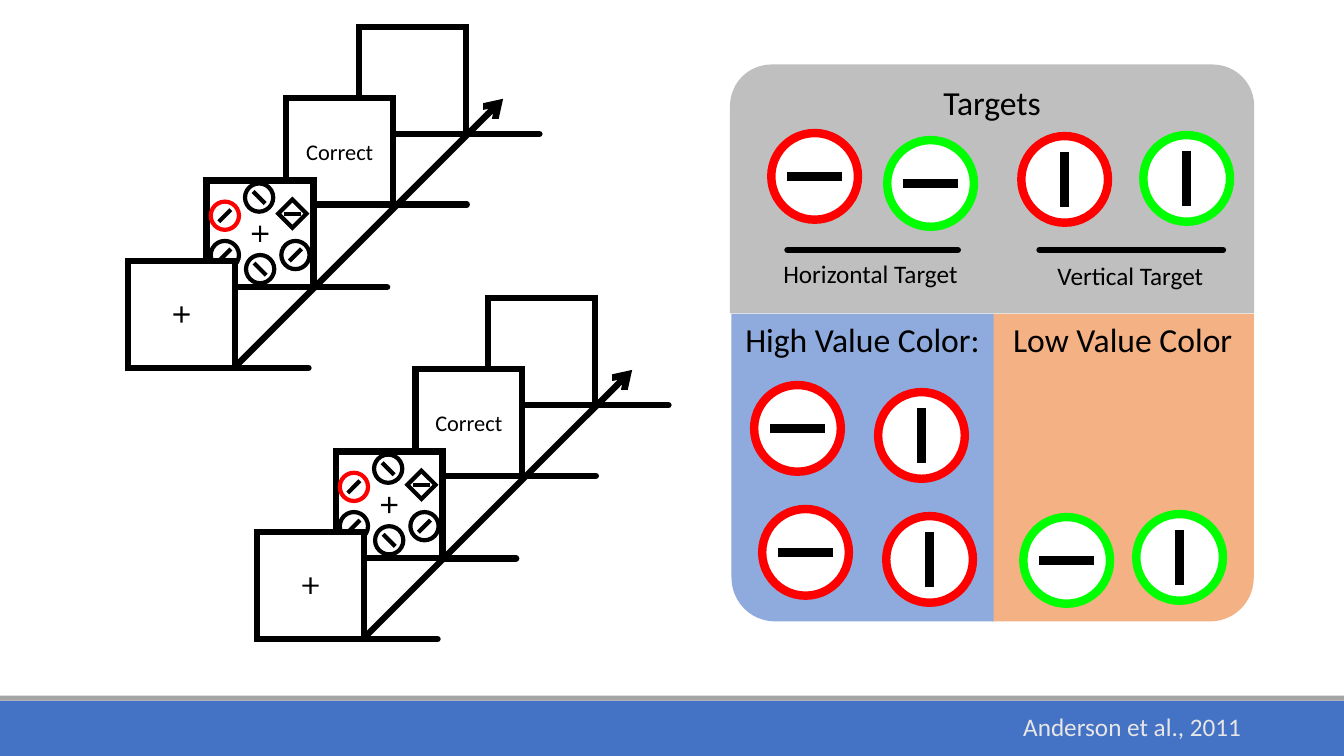
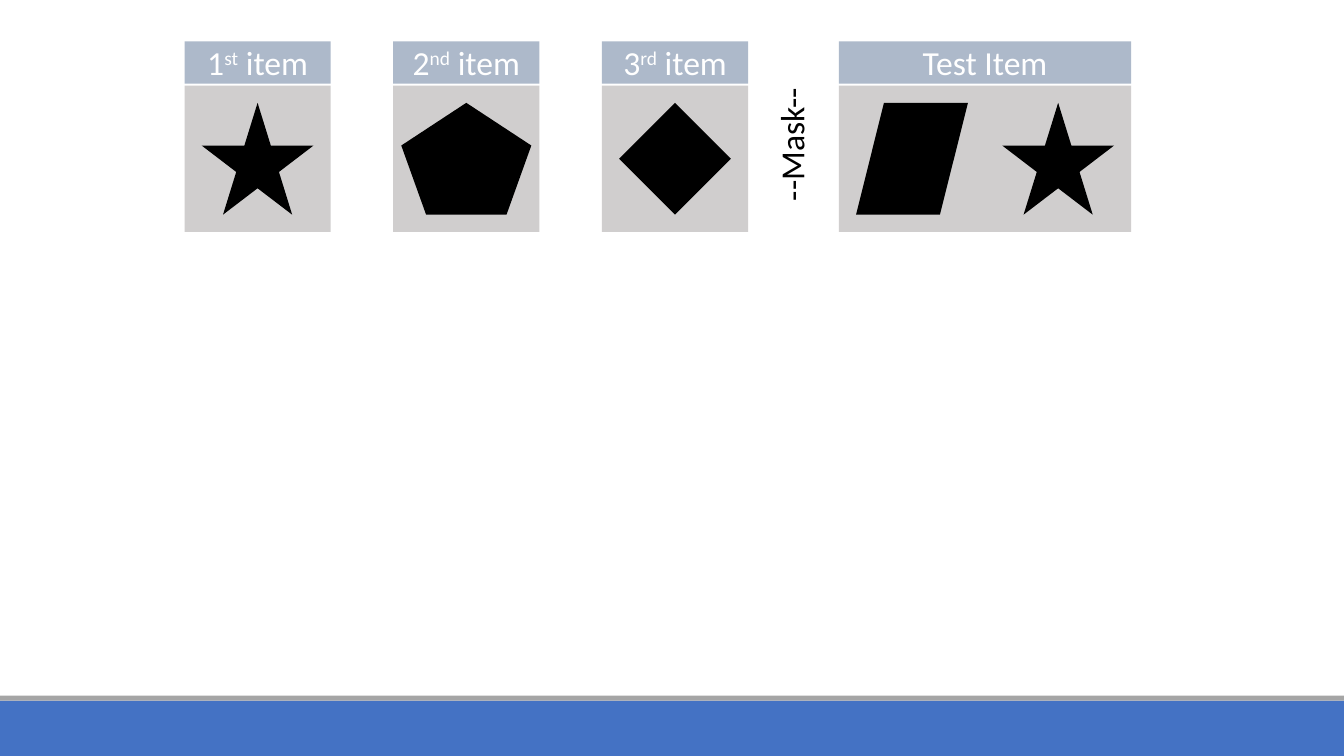
"""Build two slides on a reward-learning task and a memory task."""

import dataclasses
import typing

import lxml.etree
import pptx
import pptx.dml.color
import pptx.enum.shapes
import pptx.enum.text
import pptx.oxml.ns
import pptx.presentation
import pptx.shapes.autoshape
import pptx.shapes.connector
import pptx.shapes.shapetree
import pptx.slide
import pptx.text.text
import pptx.util

Inches = pptx.util.Inches
Pt = pptx.util.Pt
Preset = pptx.enum.shapes.MSO_SHAPE
Align = pptx.enum.text.PP_ALIGN
Anchor = pptx.enum.text.MSO_ANCHOR
AutoSize = pptx.enum.text.MSO_AUTO_SIZE
qn = pptx.oxml.ns.qn
Shapes = typing.Union[
    pptx.shapes.shapetree.SlideShapes, pptx.shapes.shapetree.GroupShapes
]
Box = tuple[float, float, float, float]
Point = tuple[float, float]

FONT = "Calibri"
COLORS = {
    "black": "000000",
    "white": "FFFFFF",
    "band": "4472C4",
    "band_edge": "A5A5A5",
    "citation": "E7E6E6",
    "targets": "BFBFBF",
    "high": "8FAADC",
    "low": "F4B183",
    "red": "FF0000",
    "green": "00FF00",
    "card": "D0CECE",
    "header": "ADB9CA",
}
FRAME_SIZE = 1.06
FRAME_LINE = 4.5
ITEM_SIZE = 0.28
PLUS_SIZE = 0.22
TARGET_SIZE = 0.86
CARD_SIZE = 1.45


@dataclasses.dataclass(frozen=True)
class Target:
    left: float
    top: float
    color: str
    vertical: bool = False


@dataclasses.dataclass(frozen=True)
class SearchItem:
    left: float
    top: float
    bar_x: float
    bar_y: float
    color: str = "black"
    preset: Preset = Preset.OVAL


@dataclasses.dataclass(frozen=True)
class Card:
    left: float
    width: float
    ordinal: tuple[str, str, str]
    figures: tuple[tuple[Preset, float], ...]


TARGETS = (
    Target(7.65, 1.32, "red"),
    Target(8.8, 1.39, "green"),
    Target(10.13, 1.35, "red", True),
    Target(11.34, 1.34, "green", True),
    Target(7.48, 3.82, "red"),
    Target(8.71, 3.89, "red", True),
    Target(7.56, 5.05, "red"),
    Target(8.79, 5.12, "red", True),
    Target(10.15, 5.13, "green"),
    Target(11.27, 5.1, "green", True),
)
SEARCH_ITEMS = (
    SearchItem(0.04, 0.21, 0.06, -0.06, "red"),
    SearchItem(0.71, 0.19, 0.085, 0, preset=Preset.DIAMOND),
    SearchItem(0.38, 0.03, 0.06, 0.06),
    SearchItem(0.04, 0.6, 0.06, -0.06),
    SearchItem(0.74, 0.6, 0.06, -0.06),
    SearchItem(0.39, 0.74, 0.06, 0.06),
)
FRAME_OFFSETS = ((2.29, -2.32), (1.57, -1.62), (0.78, -0.8), (0, 0))
FRAME_TEXTS = ("", "Correct", "", "")
SEARCH_FRAME = 2
FIXATION_FRAME = 3
CARDS = (
    Card(1.83, CARD_SIZE, ("1", "st", " item"), ((Preset.STAR_5_POINT, 1.11),)),
    Card(3.9, CARD_SIZE, ("2", "nd", " item"), ((Preset.REGULAR_PENTAGON, 1.29),)),
    Card(5.97, CARD_SIZE, ("3", "rd", " item"), ((Preset.DIAMOND, 1.11),)),
    Card(
        8.32,
        2 * CARD_SIZE,
        ("Test Item", "", ""),
        ((Preset.PARALLELOGRAM, 1.11), (Preset.STAR_5_POINT, 1.11)),
    ),
)


def rgb(name: str) -> pptx.dml.color.RGBColor:
    """Return a named colour."""
    return pptx.dml.color.RGBColor.from_string(COLORS[name])


def format_text(
    text_frame: pptx.text.text.TextFrame,
    size: float,
    color: str = "black",
    align: Align = Align.CENTER,
) -> None:
    """Format every run of a text frame."""
    for paragraph in text_frame.paragraphs:
        paragraph.alignment = align
        for run in paragraph.runs:
            run.font.name = FONT
            run.font.size = Pt(size)
            run.font.color.rgb = rgb(color)


def add_figure(
    shapes: Shapes,
    preset: Preset,
    box: Box,
    fill: str,
    line: str = "",
    line_width: float = 0,
) -> pptx.shapes.autoshape.Shape:
    """Add a preset shape with a flat fill and an optional outline."""
    shape = shapes.add_shape(preset, *map(Inches, box))
    shape.shadow.inherit = False
    shape.fill.solid()
    shape.fill.fore_color.rgb = rgb(fill)
    if line:
        shape.line.color.rgb = rgb(line)
        shape.line.width = Pt(line_width)
        outline = shape.element.spPr.find(qn("a:ln"))
        lxml.etree.SubElement(outline, qn("a:miter"), lim="800000")
    else:
        shape.line.fill.background()
    return shape


def add_line(
    shapes: Shapes,
    start: Point,
    end: Point,
    width: float,
    rounded: bool = False,
    arrow: bool = False,
) -> pptx.shapes.connector.Connector:
    """Add a straight black line."""
    connector = shapes.add_connector(
        pptx.enum.shapes.MSO_CONNECTOR.STRAIGHT, *map(Inches, start + end)
    )
    connector.line.color.rgb = rgb("black")
    connector.line.width = Pt(width)
    properties = connector.element.spPr
    outline = properties.find(qn("a:ln"))
    if rounded:
        outline.set("cap", "rnd")
    if arrow:
        lxml.etree.SubElement(outline, qn("a:tailEnd"), type="arrow")
    lxml.etree.SubElement(properties, qn("a:effectLst"))
    return connector


def add_label(
    shapes: Shapes, box: Box, text: str, size: float, wrap: bool = False
) -> pptx.shapes.autoshape.Shape:
    """Add a text box that fits its text."""
    label = shapes.add_textbox(*map(Inches, box))
    label.text_frame.word_wrap = wrap
    label.text_frame.auto_size = AutoSize.SHAPE_TO_FIT_TEXT
    label.text_frame.text = text
    format_text(label.text_frame, size, align=Align.CENTER if wrap else Align.LEFT)
    return label


def add_panel(
    shapes: Shapes, preset: Preset, box: Box, fill: str, text: str
) -> pptx.shapes.autoshape.Shape:
    """Add a coloured panel with its heading at the top."""
    panel = add_figure(shapes, preset, box, fill)
    panel.text_frame.vertical_anchor = Anchor.TOP
    panel.text_frame.text = text
    format_text(panel.text_frame, 24)
    return panel


def turn_panel(
    panel: pptx.shapes.autoshape.Shape, angle: int, direction: str
) -> None:
    """Turn a panel while its heading stays upright."""
    panel.rotation = angle
    panel.element.find(".//" + qn("a:bodyPr")).set("vert", direction)


def add_target(shapes: Shapes, target: Target) -> None:
    """Add a coloured ring around a thick bar."""
    group = shapes.add_group_shape().shapes
    box = (target.left, target.top, TARGET_SIZE, TARGET_SIZE)
    add_figure(group, Preset.OVAL, box, "white", target.color, 6)
    x, y = target.left + TARGET_SIZE / 2, target.top + TARGET_SIZE / 2
    bar_x, bar_y = (0, 0.27) if target.vertical else (0.27, 0)
    add_line(group, (x - bar_x, y - bar_y), (x + bar_x, y + bar_y), 6)


def add_plus(shapes: Shapes, left: float, top: float) -> None:
    """Add the fixation cross of a frame."""
    box = (left + 0.42, top + 0.42, PLUS_SIZE, PLUS_SIZE)
    add_figure(shapes, Preset.MATH_PLUS, box, "black").adjustments[0] = 0.1


def add_search_items(shapes: Shapes, left: float, top: float) -> None:
    """Add the ring of search items inside a frame."""
    for item in SEARCH_ITEMS:
        box = (left + item.left, top + item.top, ITEM_SIZE, ITEM_SIZE)
        add_figure(shapes, item.preset, box, "white", item.color, 3)
        x, y = box[0] + ITEM_SIZE / 2, box[1] + ITEM_SIZE / 2
        start = (x - item.bar_x, y - item.bar_y)
        add_line(shapes, start, (x + item.bar_x, y + item.bar_y), 3)


def add_trial(slide: pptx.slide.Slide, left: float, top: float) -> None:
    """Add a trial sequence whose first frame starts at the given point."""
    group = slide.shapes.add_group_shape().shapes
    corners = [(left + x, top + y) for x, y in FRAME_OFFSETS]
    for index, (x, y) in enumerate(corners):
        box = (x, y, FRAME_SIZE, FRAME_SIZE)
        frame = add_figure(group, Preset.RECTANGLE, box, "white", "black", FRAME_LINE)
        if FRAME_TEXTS[index]:
            frame.text_frame.text = FRAME_TEXTS[index]
            format_text(frame.text_frame, 16)
        if index == SEARCH_FRAME:
            add_search_items(group, x, y)
        if index in (SEARCH_FRAME, FIXATION_FRAME):
            add_plus(group, x, y)
    for x, y in corners:
        end_x, end_y = x + FRAME_SIZE, y + FRAME_SIZE
        add_line(group, (end_x, end_y), (end_x + 0.73, end_y), FRAME_LINE, rounded=True)
    start = (left + 1.05, top + FRAME_SIZE)
    add_line(group, start, (start[0] + 2.67, start[1] - 2.67), FRAME_LINE, arrow=True)


def add_card(slide: pptx.slide.Slide, card: Card) -> None:
    """Add a memory item card with its header and figures."""
    box = (card.left, 0.85, card.width, CARD_SIZE)
    add_figure(slide.shapes, Preset.RECTANGLE, box, "card")
    header_box = (card.left, 0.41, card.width, 0.42)
    header = add_figure(slide.shapes, Preset.RECTANGLE, header_box, "header")
    paragraph = header.text_frame.paragraphs[0]
    for index, text in enumerate(card.ordinal):
        if text:
            run = paragraph.add_run()
            run.text = text
            if index == 1:
                run._r.get_or_add_rPr().set("baseline", "30000")
    format_text(header.text_frame, 24, "white")
    for index, (preset, width) in enumerate(card.figures):
        left = card.left + CARD_SIZE * index + (CARD_SIZE - width) / 2
        add_figure(slide.shapes, preset, (left, 1.02, width, 1.11), "black")


def add_bands(
    presentation: pptx.presentation.Presentation, slide: pptx.slide.Slide
) -> None:
    """Put the bottom bands on the slide master."""
    master_tree = presentation.slide_master.shapes.element
    for top, height, fill in ((6.9, 0.05, "band_edge"), (6.95, 0.55, "band")):
        box = (0, top, 13.33, height)
        band = add_figure(slide.shapes, Preset.RECTANGLE, box, fill)
        master_tree.insert(2, band.element)


def fill_task_slide(slide: pptx.slide.Slide) -> None:
    """Draw the trial sequences, the target panels and the citation."""
    shapes = slide.shapes
    shapes.title.element.getparent().remove(shapes.title.element)
    citation = slide.placeholders[1]
    citation.left, citation.top = Inches(8.83), Inches(6.95)
    citation.width, citation.height = Inches(3.58), Inches(0.55)
    citation.text_frame.text = "Anderson et al., 2011"
    citation.text_frame.auto_size = AutoSize.NONE
    citation.text_frame.vertical_anchor = Anchor.MIDDLE
    citation.text_frame.paragraphs[0].line_spacing = 0.9
    citation.text_frame.paragraphs[0].space_before = Pt(10)
    format_text(citation.text_frame, 18, "citation", Align.RIGHT)

    top_box = (7.24, 0.64, 5.2, 2.47)
    add_panel(shapes, Preset.ROUND_2_SAME_RECTANGLE, top_box, "targets", "Targets")
    corner = Preset.ROUND_1_RECTANGLE
    low = add_panel(shapes, corner, (9.61, 3.34, 3.05, 2.6), "low", "Low Value Color")
    turn_panel(low, 90, "vert270")
    high = add_panel(shapes, corner, (7.03, 3.34, 3.05, 2.6), "high", "High Value Color:")
    turn_panel(high, 270, "vert")
    high.element.spPr.find(qn("a:xfrm")).set("flipH", "1")

    for start, end in ((7.81, 9.5), (10.31, 12.13)):
        add_line(shapes, (start, 2.48), (end, 2.48), FRAME_LINE, rounded=True)
    add_label(shapes, (7.67, 2.51, 1.95, 0.4), "Horizontal Target", 18)
    add_label(shapes, (10.39, 2.53, 1.66, 0.4), "Vertical Target", 18)
    for target in TARGETS:
        add_target(shapes, target)
    for left, top in ((1.27, 2.59), (2.55, 5.28)):
        add_trial(slide, left, top)


def main() -> None:
    """Build and save the presentation."""
    presentation = pptx.Presentation()
    presentation.slide_width = Inches(13.33)
    presentation.slide_height = Inches(7.5)
    task_slide = presentation.slides.add_slide(presentation.slide_layouts[2])
    add_bands(presentation, task_slide)
    fill_task_slide(task_slide)
    memory_slide = presentation.slides.add_slide(presentation.slide_layouts[6])
    for card in CARDS:
        add_card(memory_slide, card)
    mask_box = (6.94, 1.23, 1.72, 0.41)
    add_label(memory_slide.shapes, mask_box, "--Mask--", 24, wrap=True).rotation = 270
    presentation.save("out.pptx")


if __name__ == "__main__":
    main()
